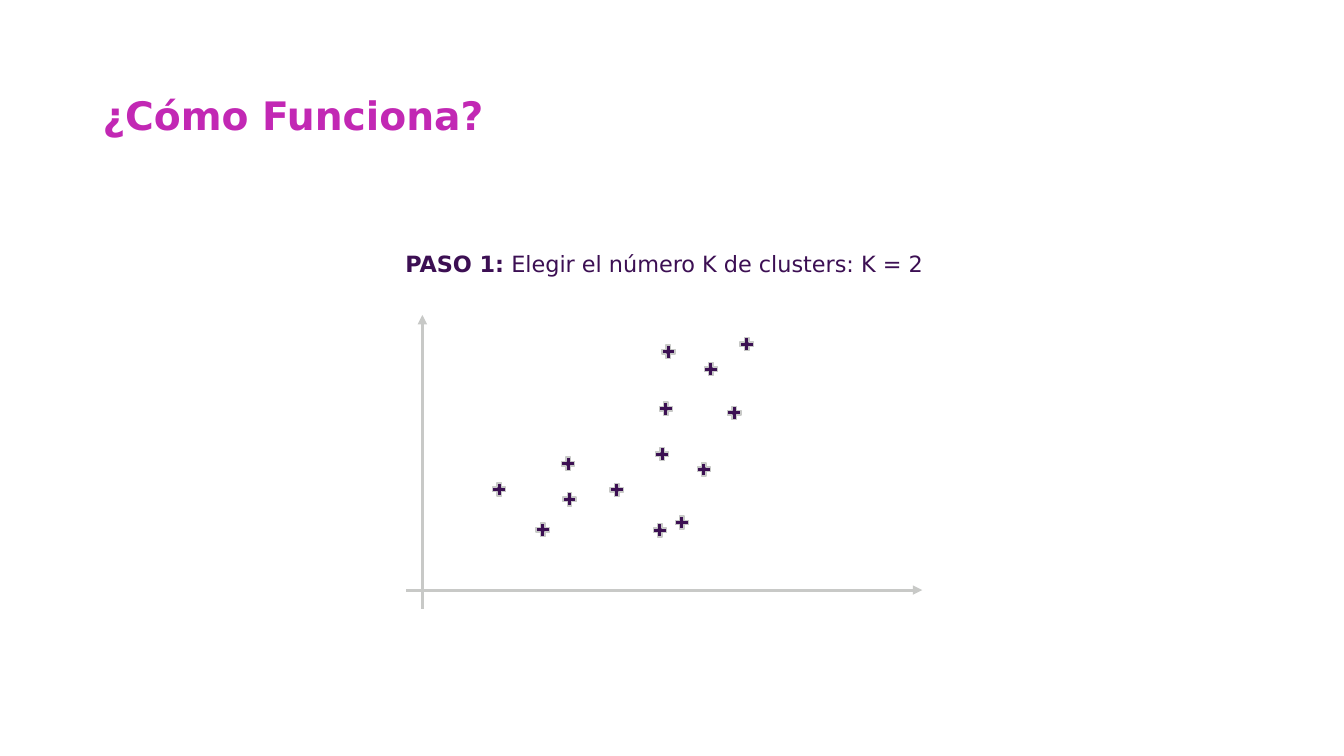
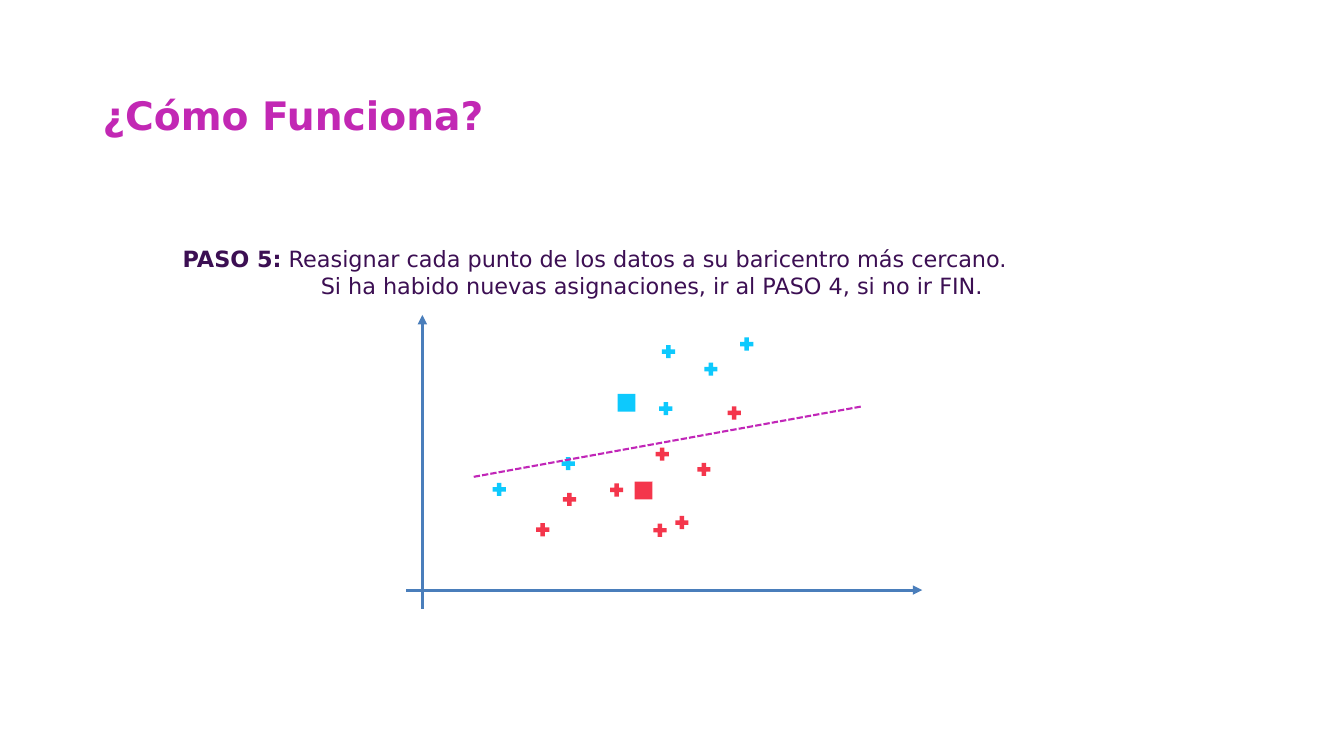
"""Build two slides that show steps of K-means clustering."""
from typing import NamedTuple

from lxml import etree
from pptx import Presentation
from pptx.dml.color import RGBColor
from pptx.enum.dml import MSO_LINE
from pptx.enum.shapes import MSO_CONNECTOR, MSO_SHAPE
from pptx.enum.text import MSO_ANCHOR, PP_ALIGN
from pptx.oxml.ns import qn
from pptx.util import Pt

PINK = RGBColor(0xC2, 0x28, 0xB4)
SPLIT = RGBColor(0xC1, 0x26, 0xB8)
PURPLE = RGBColor(0x3C, 0x0F, 0x53)
MARK = RGBColor(0x3C, 0x10, 0x53)
GRAY = RGBColor(0xC8, 0xC9, 0xC7)
BLUE = RGBColor(0x4A, 0x7E, 0xBB)
RED = RGBColor(0xF4, 0x36, 0x4C)
CYAN = RGBColor(0x0D, 0xC9, 0xFD)

CROSS = MSO_SHAPE.CROSS
DIAMOND = MSO_SHAPE.DIAMOND
STRAIGHT = MSO_CONNECTOR.STRAIGHT
DASH = MSO_LINE.SQUARE_DOT
MIDDLE = MSO_ANCHOR.MIDDLE
TOP = MSO_ANCHOR.TOP
CENTER = PP_ALIGN.CENTER
LEFT = PP_ALIGN.LEFT

FONT = "DejaVu Sans"
PLUS = 9.4
CORE = 18


class Box(NamedTuple):
    """Place and size in points."""
    x: float
    y: float
    w: float
    h: float


class Dot(NamedTuple):
    """Centre of a mark in points."""
    x: float
    y: float


class Edge(NamedTuple):
    """Straight line between two points."""
    start: Dot
    end: Dot


class Row(NamedTuple):
    """Paragraph with a bold lead and a left margin."""
    lead: str
    rest: str = ""
    margin: float = 0


TITLE = Box(66.2, 51.1, 828, 65.5)
AXES = (Edge(Dot(301.7, 434.9), Dot(301.7, 225)),
        Edge(Dot(290.2, 421.5), Dot(658.8, 421.5)))
BORDER = Edge(Dot(338.4, 340.6), Dot(616.3, 290.2))
LOW = (Dot(524.5, 295), Dot(387.7, 378.4), Dot(473, 324.4),
       Dot(487.1, 373.3), Dot(406.8, 356.7), Dot(440.5, 350),
       Dot(471.4, 378.8), Dot(502.8, 335.3))
HIGH = (Dot(356.6, 349.6), Dot(405.9, 331.2), Dot(475.6, 291.9),
        Dot(507.8, 263.7), Dot(533.4, 245.8), Dot(477.5, 251.2))


def add_text(slide, box: Box, rows: tuple[Row, ...], size: float,
             color: RGBColor, align=CENTER, anchor=TOP, inset: float = 3.6,
             space: float = 1) -> None:
    """Write rows of text in a box."""
    frame = slide.shapes.add_textbox(*map(Pt, box)).text_frame
    frame.word_wrap = True
    frame.vertical_anchor = anchor
    frame.margin_left = frame.margin_right = Pt(inset)
    frame.margin_top = frame.margin_bottom = Pt(3.6)
    for i, row in enumerate(rows):
        para = frame.add_paragraph() if i else frame.paragraphs[0]
        para.alignment = align
        para.line_spacing = space
        if row.margin:
            para._p.get_or_add_pPr().set("marL", str(Pt(row.margin)))
        font = para.font
        font.name, font.size = FONT, Pt(size)
        font.color.rgb = color
        for text, bold in ((row.lead, True), (row.rest, False)):
            if text:
                run = para.add_run()
                run.text = text
                run.font.bold = bold


def add_edge(slide, edge: Edge, color: RGBColor, width: float = 2.25,
             dashed: bool = False) -> None:
    """Draw a dashed line or a solid arrow."""
    link = slide.shapes.add_connector(
        STRAIGHT, *map(Pt, (*edge.start, *edge.end)))
    link.line.color.rgb = color
    link.line.width = Pt(width)
    if dashed:
        link.line.dash_style = DASH
    else:
        etree.SubElement(link.line._get_or_add_ln(), qn("a:tailEnd"),
                         type="triangle")
    etree.SubElement(link._element.spPr, qn("a:effectLst"))


def add_mark(slide, kind, dot: Dot, size: float, fill: RGBColor,
             line: RGBColor | None = None):
    """Draw a mark around its centre."""
    place = Box(dot.x - size / 2, dot.y - size / 2, size, size)
    mark = slide.shapes.add_shape(kind, *map(Pt, place))
    mark.shadow.inherit = False
    mark.fill.solid()
    mark.fill.fore_color.rgb = fill
    if line is None:
        mark.line.fill.background()
    else:
        mark.line.color.rgb = line
        mark.line.width = Pt(1)
    return mark


def add_group(slide, dots: tuple[Dot, ...], fill: RGBColor,
              line: RGBColor | None = None) -> None:
    """Draw the plus signs of a cluster."""
    for dot in dots:
        mark = add_mark(slide, CROSS, dot, PLUS, fill, line)
        mark.adjustments[0] = 0.33


def add_core(slide, dot: Dot, fill: RGBColor) -> None:
    """Draw the centre of a cluster as a turned diamond."""
    add_mark(slide, DIAMOND, dot, CORE, fill).rotation = 315


def add_step(deck, box: Box, rows: tuple[Row, ...], color: RGBColor):
    """Add a slide with title, step text and axes."""
    slide = deck.slides.add_slide(deck.slide_layouts[6])
    add_text(slide, TITLE, (Row("¿Cómo Funciona?"),), 28, PINK, LEFT,
             MIDDLE, 7.2, 0.9)
    add_text(slide, box, rows, 16, PURPLE)
    for axis in AXES:
        add_edge(slide, axis, color)
    return slide


def main() -> None:
    """Build and save the deck."""
    deck = Presentation()
    deck.slide_width, deck.slide_height = Pt(960), Pt(540)

    first = add_step(
        deck, Box(273.6, 175, 401.8, 26.6),
        (Row("PASO 1:", " Elegir el número K de clusters: K = 2"),), GRAY)
    add_group(first, LOW + HIGH, MARK, GRAY)

    last = add_step(
        deck, Box(105.8, 171.4, 638.6, 46),
        (Row("PASO 5:", " Reasignar cada punto de los datos a su baricentro"
             " más cercano."),
         Row("", "Si ha habido nuevas asignaciones, ir al PASO 4,"
             " si no ir FIN.", 81.4)), BLUE)
    add_group(last, LOW, RED)
    add_group(last, HIGH, CYAN)
    add_core(last, Dot(459.7, 350.3), RED)
    add_edge(last, BORDER, SPLIT, 1.5, True)
    add_core(last, Dot(447.5, 287.7), CYAN)

    deck.save("out.pptx")


if __name__ == "__main__":
    main()
